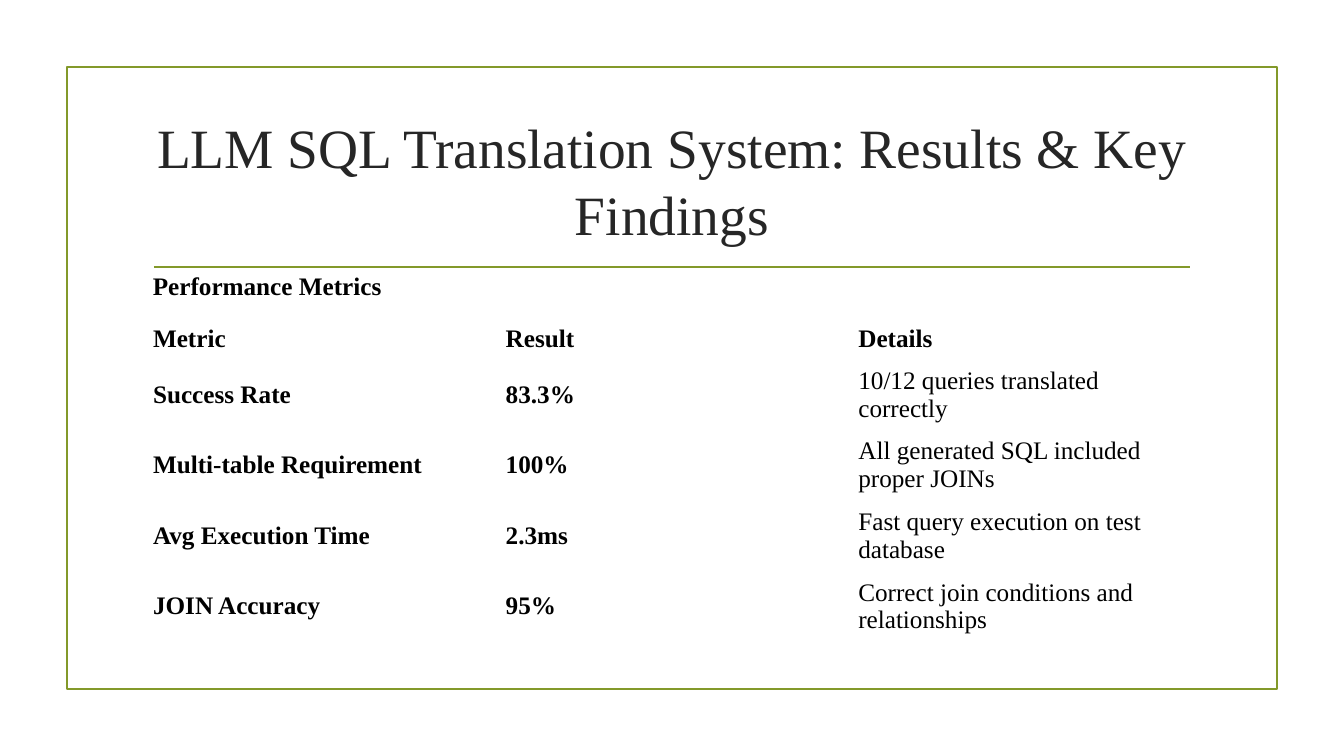
from pptx import Presentation
from pptx import util as u
from pptx.dml.color import RGBColor
from pptx.enum import shapes, text
from pptx.oxml.ns import qn
from lxml import etree

PX = 914400 / 100.8
FONT = "Times New Roman"
OLIVE, INK, BLACK = "83992A", "262626", "000000"
ROWS = [
    ("Metric", "Result", "Details"),
    ("Success Rate", "83.3%", "10/12 queries translated correctly"),
    ("Multi-table Requirement", "100%", "All generated SQL included proper JOINs"),
    ("Avg Execution Time", "2.3ms", "Fast query execution on test database"),
    ("JOIN Accuracy", "95%", "Correct join conditions and relationships"),
]


def px(n):
    """Turn pixels into EMU."""
    return u.Emu(round(n * PX))


def color(h):
    """Turn a hex string into a colour."""
    return RGBColor.from_string(h)


def write(tf, words, size, ink, bold=False, align=None):
    """Fill a text frame with one styled paragraph."""
    tf.text = words
    tf.word_wrap = True
    p = tf.paragraphs[0]
    p.alignment = align
    f = p.runs[0].font
    f.name, f.size, f.bold = FONT, u.Pt(size), bold
    f.color.rgb = color(ink)


def stroke(sp):
    """Give a shape or connector the olive line."""
    sp.line.color.rgb = color(OLIVE)
    sp.line.width = u.Pt(1.25)


def add_frame(s, x, y, w, h):
    """Draw the border around the slide content."""
    sp = s.shapes.add_shape(shapes.MSO_SHAPE.RECTANGLE, px(x), px(y), px(w), px(h))
    sp.shadow.inherit = False
    sp.fill.background()
    stroke(sp)


def add_heading(s, x, y, w, h):
    """Place the title with the rule below it."""
    rule_y, inset = y + h + 15, 11
    rule = s.shapes.add_connector(shapes.MSO_CONNECTOR.STRAIGHT, px(x + inset),
                                  px(rule_y), px(x + w - inset), px(rule_y))
    stroke(rule)
    etree.SubElement(rule._element.spPr, qn("a:effectLst"))
    tf = s.shapes.add_textbox(px(x), px(y), px(w), px(h)).text_frame
    tf.vertical_anchor = text.MSO_ANCHOR.MIDDLE
    write(tf, "LLM SQL Translation System: Results & Key Findings", 39.6, INK,
          align=text.PP_ALIGN.CENTER)


def add_metrics(s, x, y, w):
    """Place the metrics label and the table below it."""
    label = s.shapes.add_textbox(px(x), px(y), px(674), px(40))
    write(label.text_frame, "Performance Metrics", 18, BLACK, bold=True)
    head, body = 38, 65
    height = head + body * (len(ROWS) - 1)
    table = s.shapes.add_table(len(ROWS), len(ROWS[0]), px(x), px(y + 54),
                               px(w), px(height)).table
    table.first_row = table.horz_banding = False
    style = table._tbl.tblPr.find(qn("a:tableStyleId"))
    style.text = "{2D5ABB26-0587-4C30-8999-92F81FD0307C}"
    for i, row in enumerate(ROWS):
        table.rows[i].height = px(body if i else head)
        for j, words in enumerate(row):
            cell = table.cell(i, j)
            cell.fill.background()
            cell.vertical_anchor = text.MSO_ANCHOR.MIDDLE
            write(cell.text_frame, words, 18, BLACK, bold=i == 0 or j < 2)


def main():
    """Build and save the slide."""
    prs = Presentation()
    prs.slide_width, prs.slide_height = px(1344), px(756)
    s = prs.slides.add_slide(prs.slide_layouts[6])
    add_frame(s, 67, 67, 1210, 622)
    add_heading(s, 143, 108, 1058, 144)
    add_metrics(s, 143, 265, 1058)
    prs.save("out.pptx")


if __name__ == "__main__":
    main()
